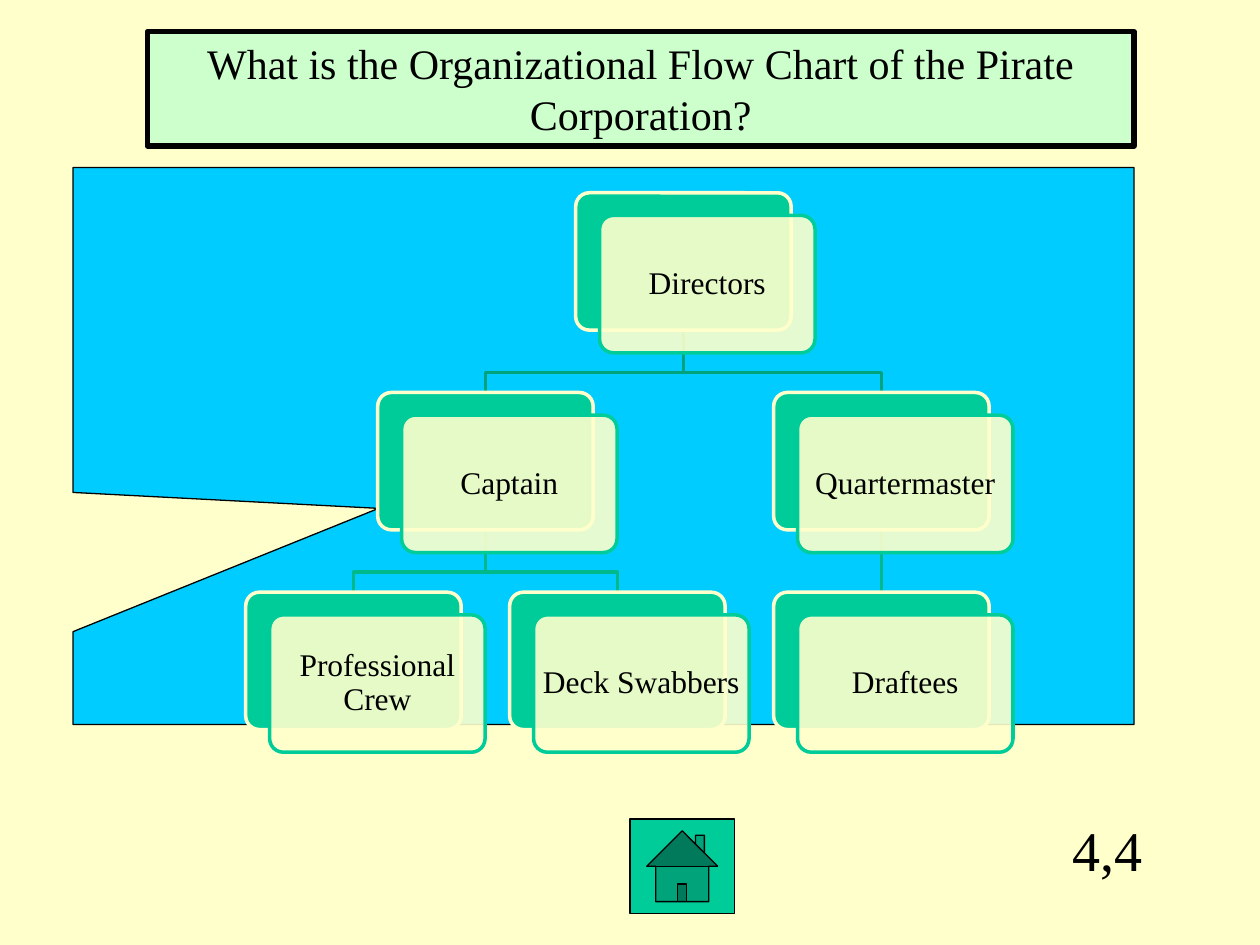
from lxml.etree import SubElement
from pptx import Presentation
from pptx.dml.color import RGBColor
from pptx.enum.shapes import MSO_SHAPE
from pptx.enum.text import MSO_ANCHOR, PP_ALIGN
from pptx.oxml.ns import qn
from pptx.util import Inches, Pt

TITLE = "What is the Organizational Flow Chart of the Pirate Corporation?"
NUMBER = "4,4"
CARDS = {
    "Directors": (1.25, 0),
    "Captain": (0.5, 1),
    "Professional Crew": (0, 2),
    "Deck Swabbers": (1, 2),
    "Quartermaster": (2, 1),
    "Draftees": (2, 2),
}
LINKS = [
    ("Quartermaster", "Draftees"),
    ("Directors", "Quartermaster"),
    ("Captain", "Deck Swabbers"),
    ("Captain", "Professional Crew"),
    ("Directors", "Captain"),
]
THEME = {
    "font": "Times New Roman", "title": 24, "card": 18, "number": 32,
    "cream": "FFFFCC", "mint": "CCFFCC", "sky": "00CCFF",
    "green": "00CC99", "ink": "000000", "links": ["00A37B", "00B98B"],
}
GRID_LEFT, GRID_TOP, COL, ROW = 1.95, 1.53, 2.095, 1.585
CARD_W, CARD_H, SHIFT_X, SHIFT_Y, ELBOW = 1.71, 1.09, 0.19, 0.18, 0.16


def rgb(color):
    return RGBColor.from_string(color)


def add_box(shapes, kind, box, fill, line, width, adj=()):
    sp = shapes.add_shape(kind, *map(Inches, box))
    sp.shadow.inherit = False
    sp.fill.solid()
    sp.fill.fore_color.rgb = rgb(fill)
    sp.line.color.rgb = rgb(line)
    sp.line.width = Pt(width)
    for i, value in enumerate(adj):
        sp.adjustments[i] = value
    return sp


def write(sp, text, size, anchor=MSO_ANCHOR.TOP):
    tf = sp.text_frame
    tf.word_wrap = True
    tf.vertical_anchor = anchor
    p = tf.paragraphs[0]
    p.text = text
    p.alignment = PP_ALIGN.CENTER
    p.font.name = THEME["font"]
    p.font.size = Pt(size)
    p.font.color.rgb = rgb(THEME["ink"])
    return p


def card_origin(name):
    col, row = CARDS[name]
    return GRID_LEFT + col * COL, GRID_TOP + row * ROW


def add_link(shapes, parent, child):
    (x1, y1), (x2, y2) = card_origin(parent), card_origin(child)
    x1, x2, y1 = x1 + CARD_W / 2, x2 + CARD_W / 2, y1 + CARD_H
    points = [(x1, y1), (x1, y2 - ELBOW), (x2, y2 - ELBOW), (x2, y2)]
    if x1 == x2:
        points = [points[0], points[-1]]
    points = [(Inches(x), Inches(y)) for x, y in points]
    builder = shapes.build_freeform(*points[0])
    builder.add_line_segments(points[1:], close=False)
    sp = builder.convert_to_shape()
    sp.shadow.inherit = False
    sp.fill.background()
    sp.line.color.rgb = rgb(THEME["links"][CARDS[parent][1]])
    sp.line.width = Pt(2)


def add_card(shapes, name):
    x, y = card_origin(name)
    add_box(shapes, MSO_SHAPE.ROUNDED_RECTANGLE, (x, y, CARD_W, CARD_H),
            THEME["green"], THEME["cream"], 2, [0.1])
    front = add_box(shapes, MSO_SHAPE.ROUNDED_RECTANGLE,
                    (x + SHIFT_X, y + SHIFT_Y, CARD_W, CARD_H),
                    THEME["cream"], THEME["green"], 2, [0.1])
    color = front.fill._xPr.find(qn("a:solidFill"))[0]
    SubElement(color, qn("a:alpha"), val="90000")
    tf = front.text_frame
    tf.margin_left = tf.margin_right = Inches(0.03)
    p = write(front, name, THEME["card"], MSO_ANCHOR.MIDDLE)
    p.line_spacing = 0.9


def main():
    prs = Presentation()
    prs.slide_width, prs.slide_height = Inches(10), Inches(7.5)
    s = prs.slides.add_slide(prs.slide_layouts[6])
    s.background.fill.solid()
    s.background.fill.fore_color.rgb = rgb(THEME["cream"])
    shapes = s.shapes

    number = shapes.add_textbox(*map(Inches, (7.58, 6.42, 2.42, 1.08)))
    write(number, NUMBER, THEME["number"]).space_before = Pt(6)
    add_box(shapes, MSO_SHAPE.ACTION_BUTTON_HOME, (5, 6.5, 0.83, 0.75),
            THEME["green"], THEME["ink"], 0.75)
    add_box(shapes, MSO_SHAPE.RECTANGULAR_CALLOUT, (0.58, 1.33, 8.42, 4.42),
            THEME["sky"], THEME["ink"], 0.75, [-0.212, 0.112])
    title = add_box(shapes, MSO_SHAPE.RECTANGLE, (1.17, 0.25, 7.83, 0.91),
                    THEME["mint"], THEME["ink"], 3)
    write(title, TITLE, THEME["title"])

    for parent, child in LINKS:
        add_link(shapes, parent, child)
    for name in CARDS:
        add_card(shapes, name)
    prs.save("out.pptx")


if __name__ == "__main__":
    main()
